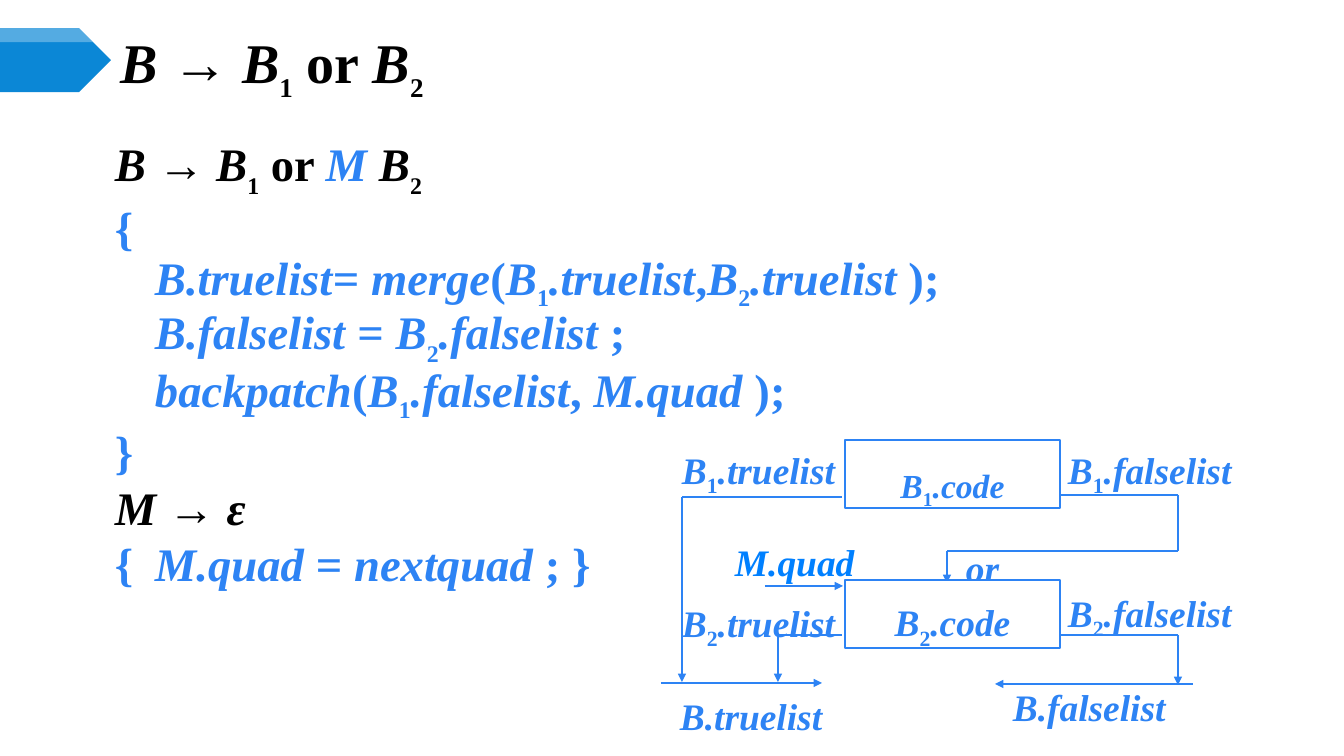
from lxml import etree
from pptx import Presentation
from pptx import util as u
from pptx.dml.color import RGBColor
from pptx.enum import shapes, text
from pptx.oxml import ns

BLACK, ACCENT, QUAD, BANNER = "000000", "2D83F4", "0080FF", "0B87D6"
FONT = "Times New Roman"


def px(length):
    """Turn slide pixels into EMU."""
    return u.Emu(round(length * 914400 / 100.8))


def rgb(code):
    """Turn a hex string into a colour."""
    return RGBColor.from_string(code)


def paint(shape, fill, line=None):
    """Set the fill and outline of a shape and drop its shadow."""
    shape.shadow.inherit = False
    shape.fill.solid()
    shape.fill.fore_color.rgb = rgb(fill)
    if line:
        shape.line.color.rgb = rgb(line)
        shape.line.width = u.Pt(1.5)
    else:
        shape.line.fill.background()


def add_run(paragraph, words, size, color, italic, baseline):
    """Add one bold run."""
    run = paragraph.add_run()
    run.text = words
    font = run.font
    font.name, font.size, font.bold, font.italic = FONT, u.Pt(size), True, italic
    font.color.rgb = rgb(color)
    if baseline:
        run._r.get_or_add_rPr().set("baseline", str(baseline * 1000))


def write(paragraph, markup, size=26.7, color=ACCENT, sub_size=None, drop=-25,
          align=text.PP_ALIGN.LEFT, spacing=None, margin=0, hanging=0):
    """Write markup where * toggles italic, _ subscript and ^ the accent colour."""
    paragraph.alignment = align
    if spacing:
        paragraph.line_spacing = u.Pt(spacing)
    if margin:
        properties = paragraph._p.get_or_add_pPr()
        properties.set("marL", str(px(margin)))
        properties.set("indent", str(-px(hanging)))
    active, words = set(), ""
    for symbol in markup + "*":
        if symbol not in "*_^":
            words += symbol
            continue
        if words:
            lowered = "_" in active
            add_run(paragraph, words,
                    sub_size if lowered and sub_size else size,
                    ACCENT if "^" in active else color,
                    "*" in active, drop if lowered else 0)
        active ^= {symbol}
        words = ""


def add_frame(slide, x, y, width, height, **margins):
    """Add a wrapping text box and return its text frame."""
    frame = slide.shapes.add_textbox(px(x), px(y), px(width), px(height)).text_frame
    frame.word_wrap = True
    for side, length in margins.items():
        setattr(frame, f"margin_{side}", px(length))
    return frame


def add_banner(slide, left, top, width, height):
    """Draw the pentagon with its lighter upper band."""
    pentagon = slide.shapes.add_shape(
        shapes.MSO_SHAPE.PENTAGON, px(left), px(top), px(width), px(height))
    paint(pentagon, BANNER)
    band_height, shoulder = 14, left + width - height // 2
    outline = slide.shapes.build_freeform(px(left), px(top))
    outline.add_line_segments([
        (px(shoulder), px(top)),
        (px(shoulder + band_height), px(top + band_height)),
        (px(left), px(top + band_height))])
    band = outline.convert_to_shape()
    paint(band, "FFFFFF")
    tint = band._element.spPr.find(".//" + ns.qn("a:srgbClr"))
    etree.SubElement(tint, ns.qn("a:alpha"), val="30000")


def add_title(slide, left, top, width, height):
    """Write the production that heads the slide."""
    frame = add_frame(slide, left, top, width, height)
    frame.vertical_anchor = text.MSO_ANCHOR.MIDDLE
    write(frame.paragraphs[0], "*B *→ *B*_1_ or *B*_2_",
          size=40, color=BLACK, sub_size=33.3, drop=-30)


def add_rules(slide, left, top, width, height):
    """Write the translation scheme, one paragraph a line."""
    rules = [
        ("*B *→ *B*_1_ or *^M^ B*_2_", BLACK, -30, 40),
        ("{", ACCENT, -25, 40),
        ("*B.truelist*= *merge*(*B*_1_*.truelist*,*B*_2_*.truelist* );", ACCENT, -25, 0),
        ("*B.falselist* = *B*_2_*.falselist *;", ACCENT, -30, 0),
        ("*backpatch*(*B*_1_*.falselist*, *M.quad *);", ACCENT, -25, 0),
        ("}", ACCENT, -25, 40),
        ("*M *→ *ε*", BLACK, -25, 40),
        ("{\t*M.quad* = *nextquad *; }", ACCENT, -25, 40),
    ]
    frame = add_frame(slide, left, top, width, height, left=0, top=0, right=0, bottom=0)
    for index, (markup, color, drop, hanging) in enumerate(rules):
        paragraph = frame.add_paragraph() if index else frame.paragraphs[0]
        write(paragraph, markup, size=33.3, color=color, sub_size=29.3, drop=drop,
              align=text.PP_ALIGN.JUSTIFY, spacing=40, margin=40, hanging=hanging)


def add_route(slide, left, top, stops):
    """Join the stops by straight lines, with an arrowhead on the last."""
    legs = list(zip(stops, stops[1:]))
    for index, ((x1, y1), (x2, y2)) in enumerate(legs, 1):
        leg = slide.shapes.add_connector(
            shapes.MSO_CONNECTOR.STRAIGHT,
            px(left + x1), px(top + y1), px(left + x2), px(top + y2))
        leg.line.color.rgb = rgb(ACCENT)
        leg.line.width = u.Pt(1.5)
        properties = leg._element.spPr
        if index == len(legs):
            etree.SubElement(properties.find(ns.qn("a:ln")), ns.qn("a:tailEnd"), type="triangle")
        etree.SubElement(properties, ns.qn("a:effectLst"))


def add_code_box(slide, left, top, markup, size):
    """Draw one code block with its centred caption."""
    block = slide.shapes.add_shape(
        shapes.MSO_SHAPE.RECTANGLE, px(left), px(top), px(215), px(68))
    paint(block, "FFFFFF", ACCENT)
    frame = block.text_frame
    frame.word_wrap = True
    frame.vertical_anchor = text.MSO_ANCHOR.TOP
    write(frame.paragraphs[0], markup, size=size,
          align=text.PP_ALIGN.CENTER, spacing=46.7)


def add_flow(slide, left, top):
    """Draw the control flow between the two code blocks."""
    routes = [
        [(181, 60), (21, 60), (21, 245)],
        [(382, 58), (517, 58), (517, 114), (286, 114), (286, 146)],
        [(181, 198), (117, 198), (117, 245)],
        [(382, 198), (517, 198), (517, 248)],
        [(0, 246), (161, 246)],
        [(532, 247), (334, 247)],
        [(104, 149), (182, 149)],
    ]
    labels = [
        ("*M.quad*", 64, 92, 143, QUAD),
        ("*B.falselist*", 342, 237, 174, ACCENT),
        ("*B*_1_*.falselist*", 397, 0, 191, ACCENT),
        ("*B*_2_*.falselist*", 397, 143, 191, ACCENT),
        ("*B*_1_*.truelist*", 11, 0, 198, ACCENT),
        ("*B*_2_*.truelist*", 11, 153, 223, ACCENT),
        ("*B.truelist*", 9, 246, 170, ACCENT),
        ("*or*", 295, 98, 84, ACCENT),
    ]
    for stops in routes:
        add_route(slide, left, top, stops)
    for markup, x, y, width, color in labels:
        frame = add_frame(slide, left + x, top + y, width, 55, top=10, right=0, bottom=0)
        write(frame.paragraphs[0], markup, color=color)
    add_code_box(slide, left + 184, top + 3, "*B*_1_*.code*", 24)
    add_code_box(slide, left + 184, top + 143, "*B*_2_*.code*", 26.7)


def main():
    """Build the slide and save it."""
    deck = Presentation()
    deck.slide_width, deck.slide_height = px(1344), px(756)
    slide = deck.slides.add_slide(deck.slide_layouts[6])
    add_banner(slide, 0, 28, 111, 64)
    add_rules(slide, 115, 143, 851, 448)
    add_title(slide, 111, 39, 1165, 52)
    add_flow(slide, 661, 437)
    deck.save("out.pptx")


if __name__ == "__main__":
    main()
